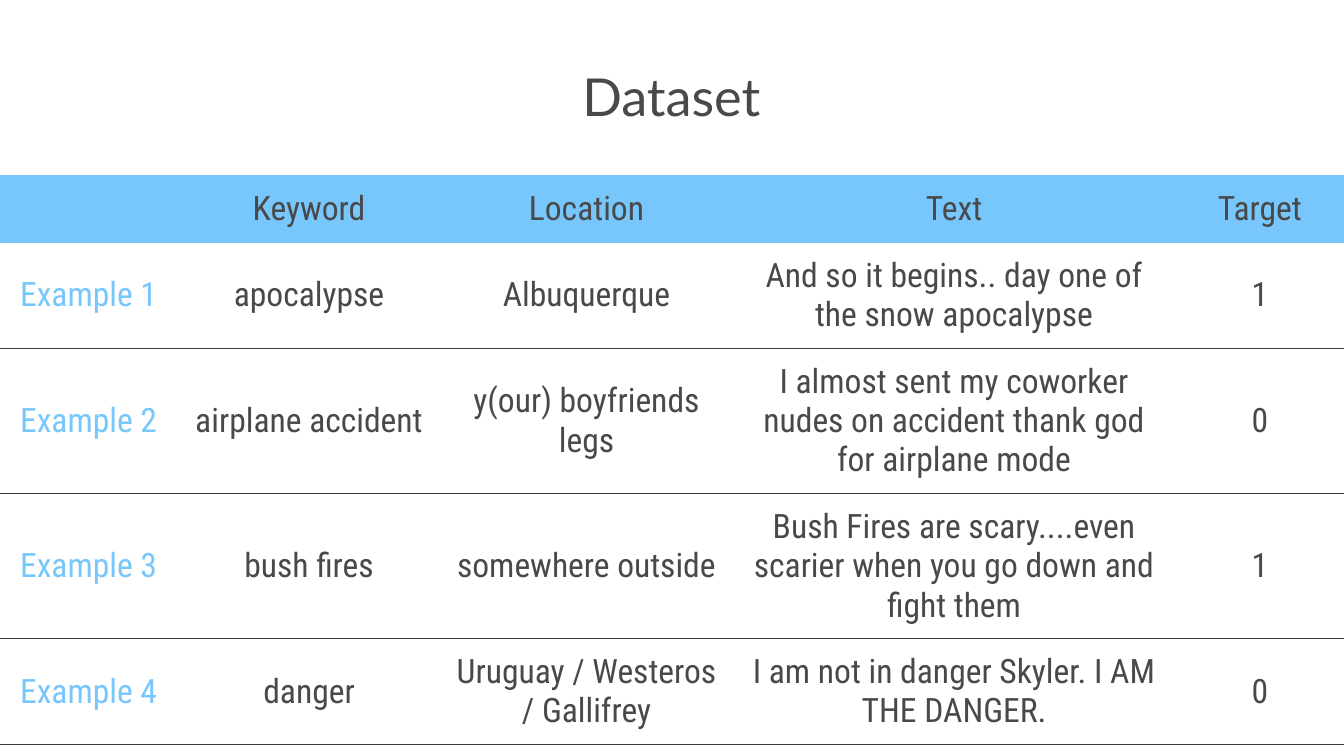
from lxml import etree
from pptx import Presentation
from pptx.dml.color import RGBColor
from pptx.enum.text import MSO_ANCHOR, PP_ALIGN
from pptx.oxml.ns import qn
from pptx.util import Inches, Pt

CENTER = PP_ALIGN.CENTER
TOP, MIDDLE = MSO_ANCHOR.TOP, MSO_ANCHOR.MIDDLE
WHITE = RGBColor(0xFF, 0xFF, 0xFF)
SKY = RGBColor(0x77, 0xC6, 0xFC)
TEXT_GRAY = RGBColor(0x49, 0x49, 0x49)
RULE_GRAY = RGBColor(0x3D, 0x3D, 0x3D)

HEADING = "Dataset"
HEADER = ("", "Keyword", "Location", "Text", "Target")
EXAMPLES = [
    ("apocalypse", "Albuquerque",
     "And so it begins.. day one of the snow apocalypse", "1"),
    ("airplane accident", "y(our) boyfriends legs",
     "I almost sent my coworker nudes on accident thank god for airplane mode", "0"),
    ("bush fires", "somewhere outside",
     "Bush Fires are scary....even scarier when you go down and fight them", "1"),
    ("danger", "Uruguay / Westeros / Gallifrey",
     "I am not in danger Skyler. I AM THE DANGER.", "0"),
]
SLIDE_WIDTH = 10
SLIDE_HEIGHT = SLIDE_WIDTH * 9 / 16
COLUMN_WIDTHS = (1.32, 1.96, 2.17, 3.3, 1.25)
HEADER_HEIGHT, EXAMPLE_HEIGHT = 0.47, 0.68
TABLE_TOP = 1.3
RULE_WIDTH = 0.75


def write_text(frame, text, *, size=18, font="Roboto Condensed", color=TEXT_GRAY):
    paragraph = frame.paragraphs[0]
    paragraph.alignment = CENTER
    if text:
        run = paragraph.add_run()
        run.text = text
        run.font.name = font
        run.font.size = Pt(size)
        run.font.bold = False
        run.font.color.rgb = color


def set_margins(holder):
    holder.margin_left = holder.margin_right = Inches(0.1)
    holder.margin_top = holder.margin_bottom = Inches(0.1)


def set_borders(cell, top, bottom):
    properties = cell._tc.get_or_add_tcPr()
    sides = (("a:lnL", None), ("a:lnR", None), ("a:lnT", top), ("a:lnB", bottom))
    for position, (tag, color) in enumerate(sides):
        line = etree.Element(qn(tag), w=str(Pt(RULE_WIDTH)))
        if color is None:
            etree.SubElement(line, qn("a:noFill"))
        else:
            fill = etree.SubElement(line, qn("a:solidFill"))
            etree.SubElement(fill, qn("a:srgbClr"), val=str(color))
        properties.insert(position, line)


def add_heading(slide):
    heading = slide.shapes.title
    heading.left, heading.top = Inches(1.99), Inches(0.38)
    heading.width, heading.height = Inches(6.01), Inches(0.63)
    frame = heading.text_frame
    frame.vertical_anchor = TOP
    set_margins(frame)
    write_text(frame, HEADING, size=28, font="Lato")


def add_examples(slide):
    rows = [HEADER] + [
        (f"Example {number}", *example)
        for number, example in enumerate(EXAMPLES, start=1)
    ]
    heights = [HEADER_HEIGHT] + [EXAMPLE_HEIGHT] * len(EXAMPLES)
    table = slide.shapes.add_table(
        len(rows), len(HEADER), Inches(0), Inches(TABLE_TOP),
        Inches(sum(COLUMN_WIDTHS)), Inches(sum(heights))).table
    table.horz_banding = False
    for column, width in zip(table.columns, COLUMN_WIDTHS):
        column.width = Inches(width)

    rules = [None, SKY] + [RULE_GRAY] * len(EXAMPLES)
    for row_index, texts in enumerate(rows):
        table.rows[row_index].height = Inches(heights[row_index])
        for column_index, text in enumerate(texts):
            cell = table.cell(row_index, column_index)
            cell.vertical_anchor = MIDDLE
            set_margins(cell)
            cell.fill.solid()
            cell.fill.fore_color.rgb = WHITE if row_index else SKY
            set_borders(cell, rules[row_index], rules[row_index + 1])
            write_text(cell.text_frame, text,
                       color=TEXT_GRAY if column_index else SKY)


def main():
    deck = Presentation()
    deck.slide_width, deck.slide_height = Inches(SLIDE_WIDTH), Inches(SLIDE_HEIGHT)
    slide = deck.slides.add_slide(deck.slide_layouts[5])
    add_heading(slide)
    add_examples(slide)
    deck.save("out.pptx")


if __name__ == "__main__":
    main()
